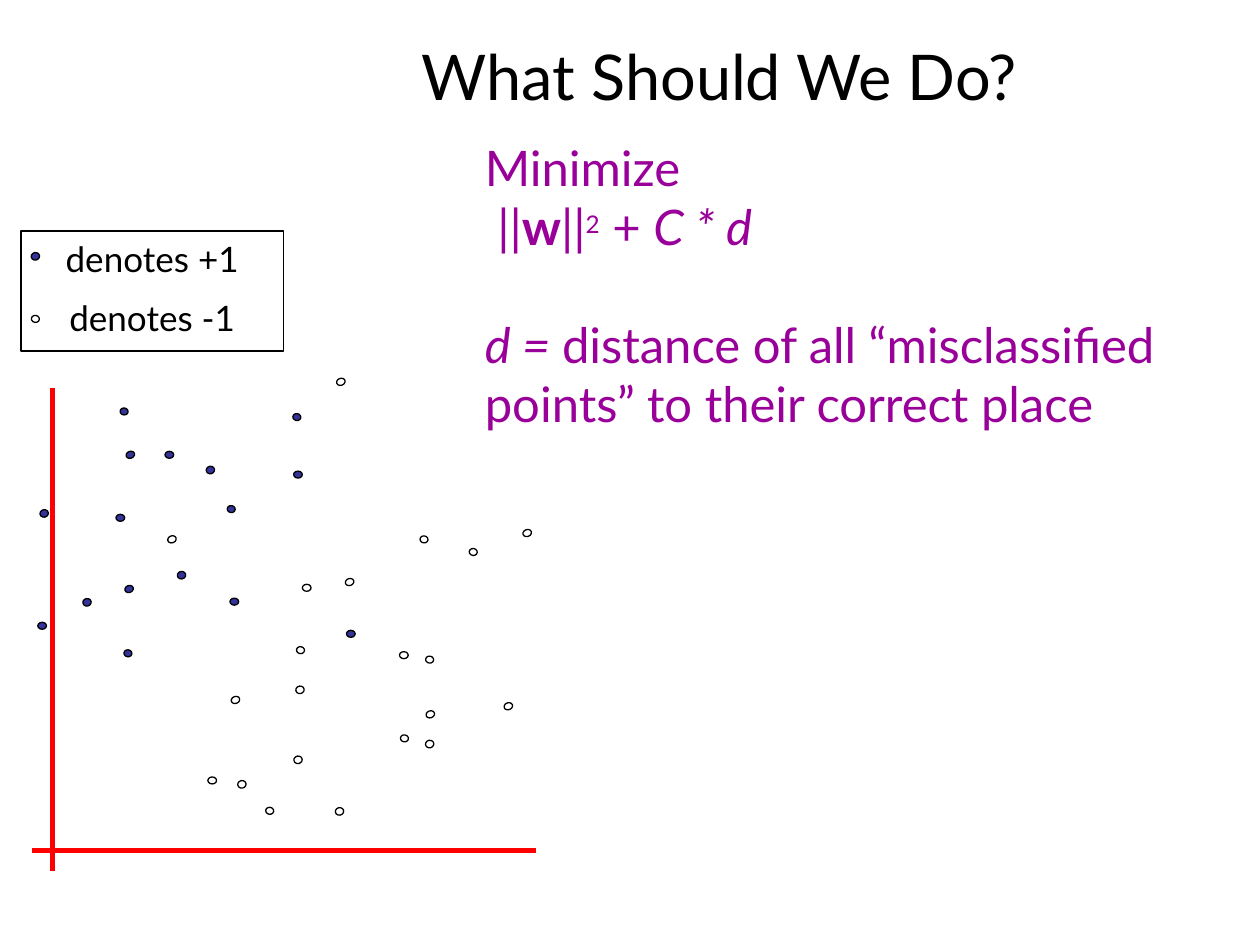
"""Slide on the soft-margin objective, with a labelled scatter of two classes."""
from lxml import etree
from pptx import Presentation
from pptx.dml.color import RGBColor
from pptx.enum.shapes import MSO_CONNECTOR, MSO_SHAPE
from pptx.enum.text import MSO_ANCHOR, PP_ALIGN
from pptx.oxml.ns import qn
from pptx.util import Pt

RECT, OVAL = MSO_SHAPE.RECTANGLE, MSO_SHAPE.OVAL
STRAIGHT = MSO_CONNECTOR.STRAIGHT
TOP, CENTER, LEFT = MSO_ANCHOR.TOP, PP_ALIGN.CENTER, PP_ALIGN.LEFT

BLACK = RGBColor(0x00, 0x00, 0x00)
WHITE = RGBColor(0xFF, 0xFF, 0xFF)
NAVY = RGBColor(0x33, 0x33, 0x99)
RED = RGBColor(0xFF, 0x00, 0x00)
PURPLE = RGBColor(0x99, 0x00, 0x99)
FONT = "Lato"

LEGEND_BOX = (12, 132, 150, 68.4)
LEGEND = ["denotes +1", "denotes -1"]
TEXT_BOX = (234, 18, 474, 322.5)
AXES = [(30, 222, 30, 498), (18, 486, 306, 486)]

TITLE = "What Should We Do?"
FORMULA = [
    (14, [("Minimize", "")]),
    (0, [(" ||", ""), ("w", "bold"), ("||", ""), ("2", "super"), (" + ", ""), ("C * d", "italic")]),
    (33.6, [("d = ", "italic"),
            ("distance of all “misclassified points” to their correct place", "")]),
]

# Each group: rotation, width, height, centres of +1 dots, centres of -1 dots
DOTS = [
    (0, 5, 4,
     [(24.1, 357.6), (170.3, 271.2), (96.8, 259.9), (133.9, 343.8), (68.8, 295.9), (200.5, 362.2)],
     [(121.3, 446), (175.3, 335.9), (230.8, 374.4)]),
    (341.4, 5, 4,
     [(74.5, 259.9), (73.8, 336.6)],
     [(134.6, 400), (301.3, 304.6), (245.9, 408.2), (199.8, 332.6), (290.5, 403.6),
      (98.3, 308.2), (194.8, 218.2)]),
    (98.3, 4, 4.6,
     [(132.1, 290.9), (73.1, 373.3), (169.6, 238.3), (70.9, 235.1)],
     [(20.2, 182.2), (154.1, 463.3), (245.5, 376.9), (171.7, 371.5), (270.4, 315.4),
      (242.3, 308.2), (231.1, 421.9)]),
    (79.6, 4.3, 4.8,
     [(20.2, 146.5), (103.7, 328.7), (49.7, 344.2), (120.2, 268.6), (25.2, 293.4)],
     [(194, 463.7), (170.3, 434.2), (171.4, 394.2), (138.2, 448.2), (245.5, 425.2)]),
]


def points(values):
    return [Pt(v) for v in values]


def style(p, size, color, before=0, align=LEFT):
    p.alignment = align
    p.space_before = Pt(before)
    p.font.name, p.font.size, p.font.color.rgb = FONT, Pt(size), color


def add_outlined(slide, kind, box, width):
    sp = slide.shapes.add_shape(kind, *points(box))
    sp.shadow.inherit = False
    sp.fill.background()
    sp.line.color.rgb, sp.line.width = BLACK, Pt(width)
    return sp


def add_legend(slide):
    tf = add_outlined(slide, RECT, LEGEND_BOX, 1).text_frame
    tf.word_wrap, tf.vertical_anchor = True, TOP
    for i, label in enumerate(LEGEND):
        p = tf.add_paragraph() if i else tf.paragraphs[0]
        p.text = label
        style(p, 20, BLACK, 10 if i else 0, CENTER)


def add_text(slide):
    tf = slide.shapes.add_textbox(*points(TEXT_BOX)).text_frame
    tf.word_wrap = True
    p = tf.paragraphs[0]
    p.text = TITLE
    style(p, 36, BLACK)
    for before, runs in FORMULA:
        p = tf.add_paragraph()
        p.level = 1
        style(p, 28, PURPLE, before)
        p._p.get_or_add_pPr().set("marL", str(Pt(36)))
        p._p.get_or_add_pPr().set("indent", "0")
        for text, look in runs:
            r = p.add_run()
            r.text = text
            if look == "super":
                r.font.size = Pt(24)
                r._r.get_or_add_rPr().set("baseline", "30000")
            elif look:
                setattr(r.font, look, True)


def add_axes(slide):
    for ends in AXES:
        axis = slide.shapes.add_connector(STRAIGHT, *points(ends))
        axis.line.color.rgb, axis.line.width = RED, Pt(3)
        etree.SubElement(axis._element.spPr, qn("a:effectLst"))


def add_dots(slide):
    for angle, w, h, plus, minus in DOTS:
        for color, centres in ((NAVY, plus), (WHITE, minus)):
            for x, y in centres:
                dot = add_outlined(slide, OVAL, (x - w / 2, y - h / 2, w, h), 0.75)
                dot.rotation = angle
                dot.fill.solid()
                dot.fill.fore_color.rgb = color


def main():
    prs = Presentation()
    prs.slide_width, prs.slide_height = Pt(720), Pt(540)
    slide = prs.slides.add_slide(prs.slide_layouts[6])
    add_legend(slide)
    add_text(slide)
    add_axes(slide)
    add_dots(slide)
    prs.save("out.pptx")


if __name__ == "__main__":
    main()
